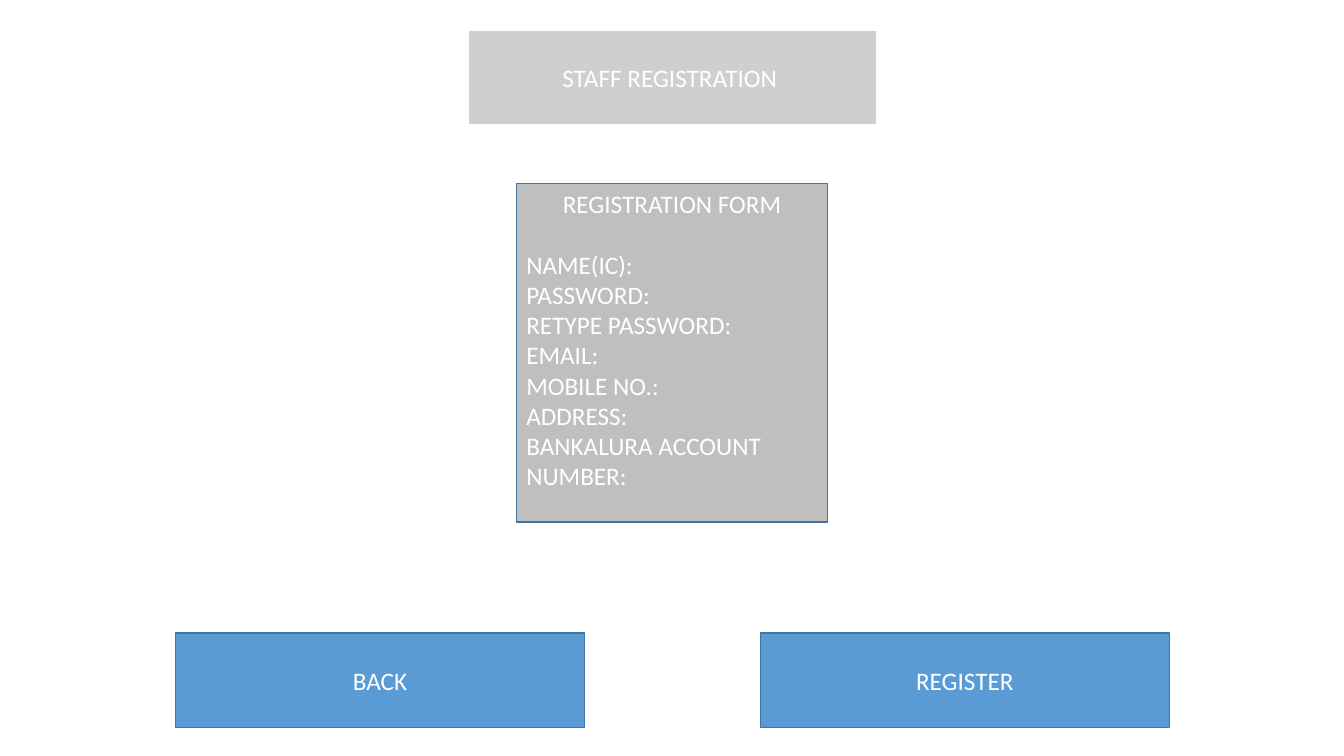
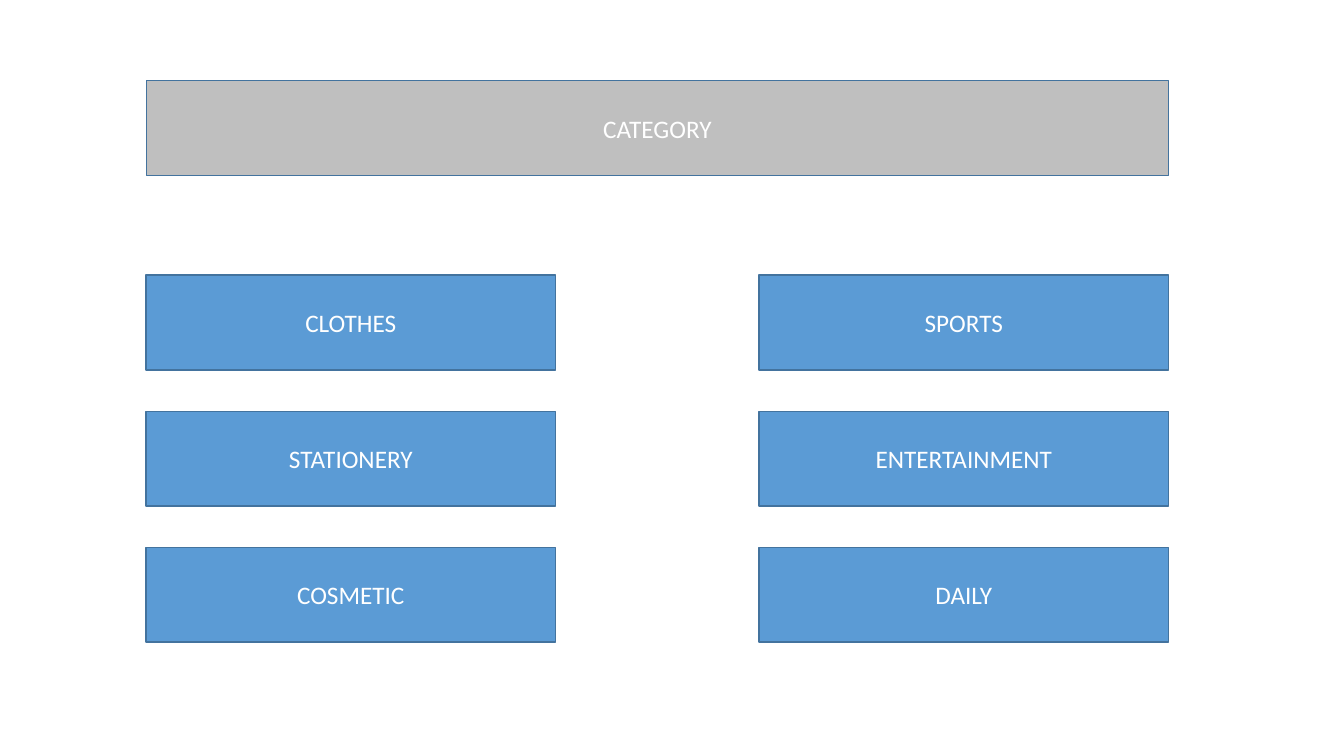
from dataclasses import dataclass

from lxml import etree
from pptx import Presentation
from pptx import util as u
from pptx.dml import color
from pptx.enum import shapes, text
from pptx.oxml import ns
from pptx.presentation import Presentation as Deck
from pptx.shapes.autoshape import Shape
from pptx.slide import Slide
from pptx.text import text as body_text


@dataclass(frozen=True)
class Theme:
    """Colours, type and line settings shared by the slides."""
    font: str = "Calibri"
    size: int = 18
    line_width: int = 1
    white: str = "FFFFFF"
    blue: str = "5B9BD5"
    outline: str = "43739E"
    grey: str = "BFBFBF"
    pale_grey: str = "D0CECE"


@dataclass(frozen=True)
class Box:
    """Place and size of a rectangle, in inches."""
    left: float
    top: float
    width: float = 4.06
    height: float = 0.94


@dataclass(frozen=True)
class Button:
    """A labelled button."""
    label: str
    box: Box


THEME = Theme()
TITLE_AND_BODY, TITLE_ONLY = 1, 5
LEFT_COLUMN, RIGHT_COLUMN = 1.45, 7.53
FIRST_ROW, ROW_PITCH = 2.73, 1.35

FORM_FIELDS = (
    "NAME(IC):", "PASSWORD:", "RETYPE PASSWORD:", "EMAIL:", "MOBILE NO.:",
    "ADDRESS:", "BANKALURA ACCOUNT NUMBER:",
)
FORM_BUTTONS = (
    Button("BACK", Box(1.74, 6.28)),
    Button("REGISTER", Box(7.54, 6.28)),
)
CATEGORY_COLUMNS = {
    LEFT_COLUMN: ("CLOTHES", "STATIONERY", "COSMETIC"),
    RIGHT_COLUMN: ("SPORTS", "ENTERTAINMENT", "DAILY"),
}


def style_panel(shape: Shape, box: Box, fill: str, outline: str) -> None:
    """Place a shape and give it its fill, outline and text frame settings."""
    shape.left, shape.top = u.Inches(box.left), u.Inches(box.top)
    shape.width, shape.height = u.Inches(box.width), u.Inches(box.height)
    shape.fill.solid()
    shape.fill.fore_color.rgb = color.RGBColor.from_string(fill)
    shape.line.color.rgb = color.RGBColor.from_string(outline)
    shape.line.width = u.Pt(THEME.line_width)
    shape.shadow.inherit = False
    frame = shape.text_frame
    frame.word_wrap = True
    frame.auto_size = text.MSO_AUTO_SIZE.NONE
    frame.vertical_anchor = text.MSO_ANCHOR.MIDDLE


def write_line(paragraph: body_text._Paragraph, words: str,
               alignment: text.PP_ALIGN = text.PP_ALIGN.CENTER) -> None:
    """Write one run in the shared type style."""
    paragraph.alignment = alignment
    run = paragraph.add_run()
    run.text = words
    run.font.name = THEME.font
    run.font.size = u.Pt(THEME.size)
    run.font.color.rgb = color.RGBColor.from_string(THEME.white)


def remove_bullet(paragraph: body_text._Paragraph) -> None:
    """Clear the bullet and hanging indent of a body paragraph."""
    properties = paragraph._p.get_or_add_pPr()
    properties.set("marL", "0")
    properties.set("indent", "0")
    etree.SubElement(properties, ns.qn("a:buNone"))


def set_title(slide: Slide, words: str, box: Box, fill: str, outline: str) -> None:
    """Turn the title placeholder into a filled heading."""
    title = slide.shapes.title
    style_panel(title, box, fill, outline)
    write_line(title.text_frame.paragraphs[0], words)


def add_button(slide: Slide, button: Button) -> None:
    """Draw a blue button with a centred label."""
    box = button.box
    shape = slide.shapes.add_shape(
        shapes.MSO_SHAPE.RECTANGLE, u.Inches(box.left), u.Inches(box.top),
        u.Inches(box.width), u.Inches(box.height))
    style_panel(shape, box, THEME.blue, THEME.outline)
    write_line(shape.text_frame.paragraphs[0], button.label)


def fill_form(slide: Slide) -> None:
    """Write the registration form in the body placeholder."""
    form = slide.placeholders[1]
    style_panel(form, Box(5.12, 1.82, 3.09, 3.36), THEME.grey, THEME.outline)
    frame = form.text_frame
    frame.vertical_anchor = text.MSO_ANCHOR.TOP
    heading = frame.paragraphs[0]
    write_line(heading, "REGISTRATION FORM")
    for field in FORM_FIELDS:
        write_line(frame.add_paragraph(), field, text.PP_ALIGN.LEFT)
    for paragraph in frame.paragraphs:
        paragraph.space_before = u.Pt(0)
        paragraph.space_after = u.Pt(0)
        paragraph.line_spacing = u.Pt(21.6)
    heading.space_after = heading.line_spacing
    for paragraph in frame.paragraphs:
        remove_bullet(paragraph)


def build_registration(presentation: Deck) -> None:
    """Build the staff registration slide."""
    slide = presentation.slides.add_slide(presentation.slide_layouts[TITLE_AND_BODY])
    set_title(slide, "STAFF REGISTRATION ", Box(4.64, 0.3), THEME.pale_grey, THEME.white)
    fill_form(slide)
    for button in FORM_BUTTONS:
        add_button(slide, button)


def build_categories(presentation: Deck) -> None:
    """Build the category slide with its two columns of buttons."""
    slide = presentation.slides.add_slide(presentation.slide_layouts[TITLE_ONLY])
    set_title(slide, "CATEGORY", Box(LEFT_COLUMN, 0.8, width=10.14),
              THEME.grey, THEME.outline)
    for left, labels in CATEGORY_COLUMNS.items():
        for row, label in enumerate(labels):
            add_button(slide, Button(label, Box(left, FIRST_ROW + row * ROW_PITCH)))


def main() -> None:
    """Build and save the presentation."""
    presentation = Presentation()
    presentation.slide_width = u.Inches(13.33)
    presentation.slide_height = u.Inches(7.5)
    build_registration(presentation)
    build_categories(presentation)
    presentation.save("out.pptx")


main()
